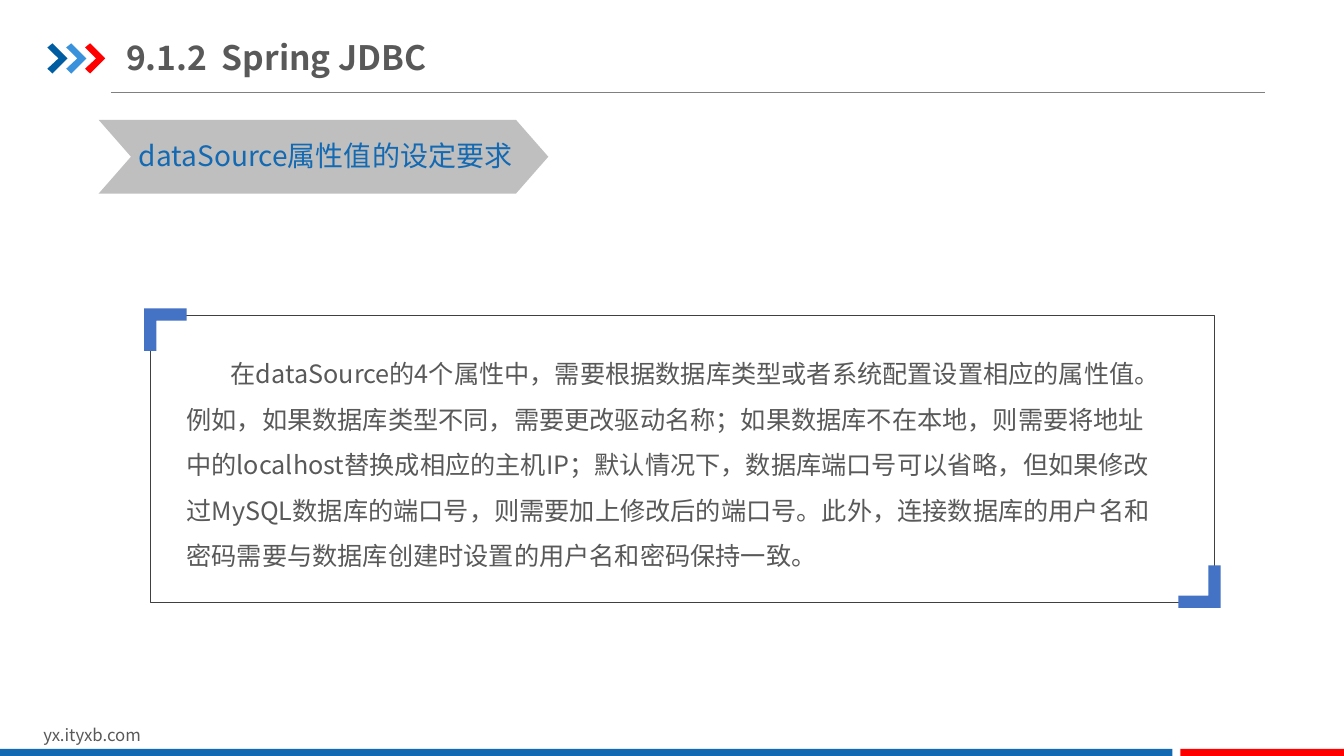
from dataclasses import dataclass

from lxml.etree import SubElement
from pptx import Presentation
from pptx.dml.color import RGBColor
from pptx.enum.shapes import MSO_CONNECTOR as Connector, MSO_SHAPE as Shape
from pptx.enum.text import MSO_ANCHOR as Anchor, MSO_AUTO_SIZE as AutoSize
from pptx.oxml.ns import qn
from pptx.util import Inches, Pt

WIDTH, HEIGHT = Inches(13.333), Inches(7.5)


@dataclass(frozen=True)
class Theme:
    font: str = "Noto Sans CJK SC"
    ink: str = "595959"
    blue: str = "1369B2"
    red: str = "FF0000"
    banner: str = "BFBFBF"
    corner: str = "4472C4"
    frame: str = "404040"
    rule: str = "808080"
    arrows: tuple = ("005DA2", "3992DB", "FF0000")
    title_size: int = 24
    topic_size: int = 20
    body_size: int = 18
    footer_size: int = 12


THEME = Theme()
ARROW = ((0, 0.14), (0.25, 0), (1, 0.5), (0.25, 1), (0, 0.84), (0.55, 0.5))
BRACKET = ((0, 0), (1, 0), (1, 0.29), (0.29, 0.29), (0.29, 1), (0, 1))
BODY = (
    "在dataSource的4个属性中，需要根据数据库类型或者系统配置设置相应的属性值。"
    "例如，如果数据库类型不同，需要更改驱动名称；如果数据库不在本地，"
    "则需要将地址中的localhost替换成相应的主机IP；默认情况下，"
    "数据库端口号可以省略，但如果修改过MySQL数据库的端口号，"
    "则需要加上修改后的端口号。此外，连接数据库的用户名和密码"
    "需要与数据库创建时设置的用户名和密码保持一致。"
)


def area(left, top, width, height):
    """Turn percentages of the slide into a position and size."""
    return [round(share * side / 100) for share, side in
            zip((left, top, width, height), (WIDTH, HEIGHT) * 2)]


def paint(shape, fill=None, line=None, weight=0.25):
    shape.shadow.inherit = False
    for part, color in ((shape.fill, fill), (shape.line.fill, line)):
        if color:
            part.solid()
            part.fore_color.rgb = RGBColor.from_string(color)
        else:
            part.background()
    if line:
        shape.line.width = Pt(weight)


def add_block(shapes, preset, box, adjust=None, **colors):
    block = shapes.add_shape(preset, *area(*box))
    if adjust is not None:
        block.adjustments[0] = adjust
    paint(block, **colors)


def add_outline(shapes, unit_points, box, fill, rotation=0):
    """Draw a closed outline whose points are shares of its box."""
    left, top, width, height = area(*box)
    start, *others = [(round(left + x * width), round(top + y * height))
                      for x, y in unit_points]
    builder = shapes.build_freeform(*start)
    builder.add_line_segments(others, close=True)
    outline = builder.convert_to_shape()
    outline.rotation = rotation
    paint(outline, fill)


def add_rule(shapes, left, top, width):
    x, y, length, _ = area(left, top, width, 0)
    rule = shapes.add_connector(Connector.STRAIGHT, x, y, x + length, y)
    rule.line.color.rgb = RGBColor.from_string(THEME.rule)
    rule.line.width = Pt(0.5)
    SubElement(rule._element.spPr, qn("a:effectLst"))


def add_text(shapes, words, box, size, color=THEME.ink, bold=None,
             frame_format=None, spacing=None, indent=None, tab=None):
    frame = shapes.add_textbox(*area(*box)).text_frame
    for name, value in {"word_wrap": True, **(frame_format or {})}.items():
        setattr(frame, name, value)
    paragraph = frame.paragraphs[0]
    properties = paragraph._p.get_or_add_pPr()
    if indent:
        properties.set("indent", str(Inches(indent)))
    if tab:
        stops = SubElement(properties, qn("a:tabLst"))
        SubElement(stops, qn("a:tab"), pos=str(Inches(tab)), algn="l")
    if spacing:
        paragraph.line_spacing = spacing
    run = paragraph.add_run()
    run.text = words
    font_format = {"name": THEME.font, "size": Pt(size), "bold": bold}
    for name, value in font_format.items():
        setattr(run.font, name, value)
    run.font.color.rgb = RGBColor.from_string(color)
    SubElement(run._r.get_or_add_rPr(), qn("a:ea"), typeface=THEME.font)


def add_header(shapes):
    add_rule(shapes, 8.25, 12.2, 85.88)
    arrows = shapes.add_group_shape().shapes
    for index, color in enumerate(THEME.arrows):
        add_outline(arrows, ARROW, (3.53 + 1.4 * index, 5.73, 1.5, 4), color)
    title_format = {"vertical_anchor": Anchor.MIDDLE,
                    "margin_left": 0, "margin_right": 0}
    add_text(shapes, "9.1.2\tSpring JDBC", (9.38, 3.87, 24.68, 7.33),
             THEME.title_size, bold=True, frame_format=title_format, tab=0.95)


def add_footer(shapes):
    add_text(shapes, "yx.ityxb.com", (2.48, 95.2, 23.85, 4), THEME.footer_size,
             frame_format={"auto_size": AutoSize.SHAPE_TO_FIT_TEXT})
    for left, width, color in ((0, 87.23, THEME.blue), (87.83, 12.17, THEME.red)):
        add_block(shapes, Shape.RECTANGLE, (left, 99.07, width, 0.93), fill=color)


def add_topic(shapes):
    add_block(shapes, Shape.CHEVRON, (7.35, 15.87, 33.45, 9.73), 0.438,
              fill=THEME.banner)
    add_text(shapes, "dataSource属性值的设定要求", (9.6, 17.73, 30.08, 5.87),
             THEME.topic_size, THEME.blue,
             frame_format={"auto_size": AutoSize.SHAPE_TO_FIT_TEXT})


def add_explanation(shapes):
    add_text(shapes, BODY, (13.13, 44.8, 74.55, 31.07), THEME.body_size,
             spacing=1.5, indent=0.44)
    add_block(shapes, Shape.ROUNDED_RECTANGLE, (11.18, 41.73, 79.2, 37.87), 0,
              line=THEME.frame)
    for left, top, rotation in ((10.73, 40.8, 0), (87.68, 74.8, 180)):
        add_outline(shapes, BRACKET, (left, top, 3.15, 5.6), THEME.corner, rotation)


def main():
    deck = Presentation()
    deck.slide_width, deck.slide_height = WIDTH, HEIGHT
    shapes = deck.slides.add_slide(deck.slide_layouts[6]).shapes
    for add_section in (add_header, add_footer, add_topic, add_explanation):
        add_section(shapes)
    deck.save("out.pptx")


if __name__ == "__main__":
    main()
